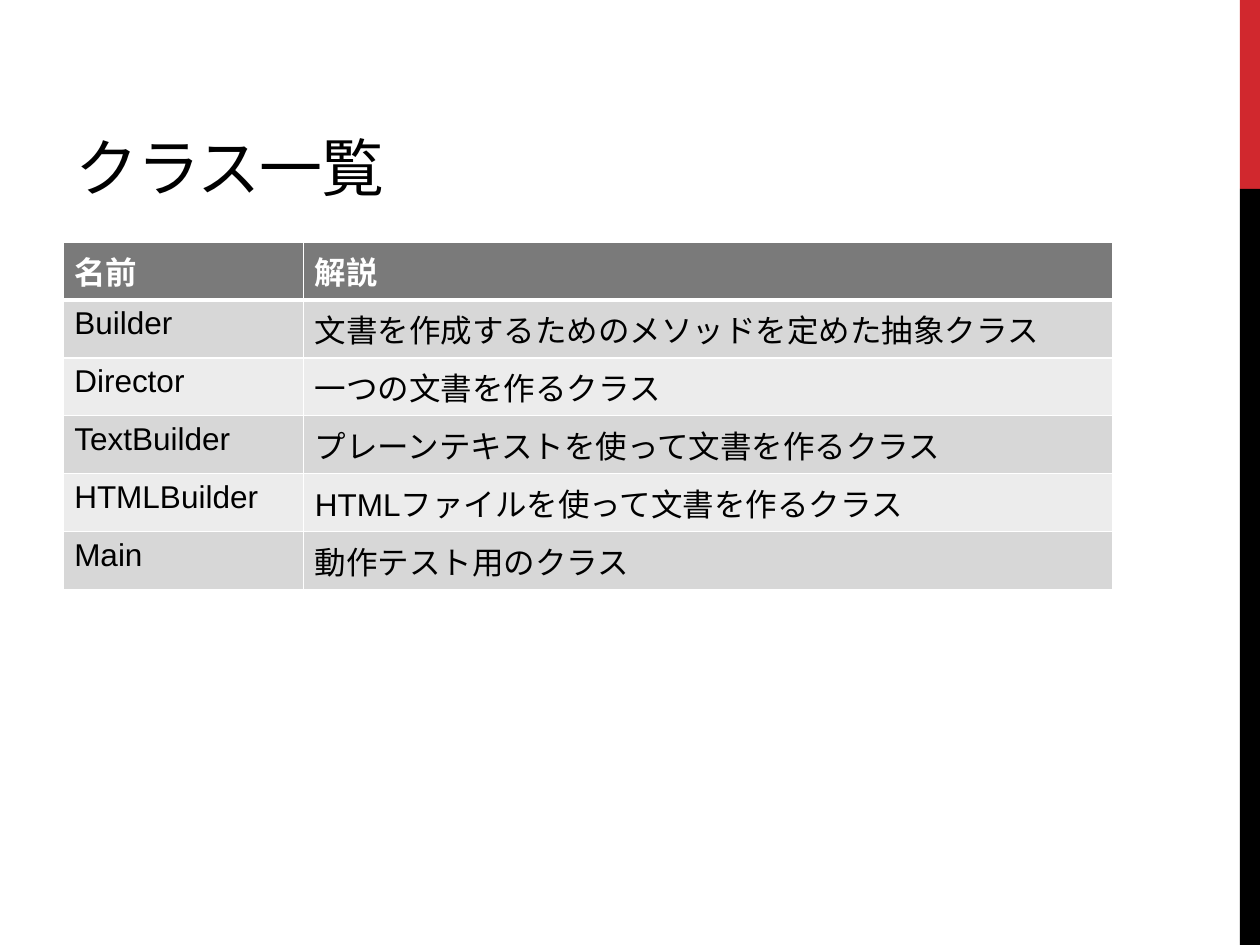
import pptx
import pptx.util
import pptx.dml.color
import pptx.enum.shapes
import pptx.enum.text
import pptx.oxml
import pptx.oxml.ns

COLORS = {
    "red": "D1282E", "black": "000000", "white": "FFFFFF",
    "header": "7A7A7A", "odd": "D7D7D7", "even": "ECECEC",
}
Inches = pptx.util.Inches


def rgb(name):
    return pptx.dml.color.RGBColor.from_string(COLORS[name])


def write(frame, text, font="Arial", size=18, color="black", bold=False, spacing=None):
    span = frame.paragraphs[0].add_run()
    span.text = text
    span.font.name = font
    span.font.size = pptx.util.Pt(size)
    span.font.bold = bold
    span.font.color.rgb = rgb(color)
    if spacing is not None:
        span.font._element.set("spc", str(round(spacing * 100)))


deck = pptx.Presentation()
deck.slide_width, deck.slide_height = Inches(10), Inches(7.5)
page = deck.slides.add_slide(deck.slide_layouts[6])

# Side band: the top fifth is red, the rest black
band_left = Inches(9.84)
band_width = deck.slide_width - band_left
fifth = deck.slide_height // 5
for color, top, height in (("red", 0, fifth), ("black", fifth, 4 * fifth)):
    band = page.shapes.add_shape(
        pptx.enum.shapes.MSO_SHAPE.RECTANGLE, band_left, top, band_width, height)
    band.shadow.inherit = False
    band.fill.solid()
    band.fill.fore_color.rgb = rgb(color)
    band.line.fill.background()

# Title
margin = deck.slide_width // 20
title = page.shapes.add_textbox(margin, Inches(0.17), Inches(6.33), fifth)
title.text_frame.word_wrap = True
title.text_frame.vertical_anchor = pptx.enum.text.MSO_ANCHOR.BOTTOM
write(title.text_frame, "クラス一覧", font="Montserrat", size=36, spacing=-0.6)

# Class table
rows = [
    ("名前", "解説"),
    ("Builder", "文書を作成するためのメソッドを定めた抽象クラス"),
    ("Director", "一つの文書を作るクラス"),
    ("TextBuilder", "プレーンテキストを使って文書を作るクラス"),
    ("HTMLBuilder", "HTMLファイルを使って文書を作るクラス"),
    ("Main", "動作テスト用のクラス"),
]
widths = [Inches(1.91), Inches(6.42)]
row_height = Inches(0.46)
table = page.shapes.add_table(
    len(rows), len(widths), margin, Inches(1.92),
    sum(widths), row_height * len(rows)).table
for column, width in zip(table.columns, widths):
    column.width = width

for i, texts in enumerate(rows):
    is_header = i == 0
    fill = "header" if is_header else ("odd" if i % 2 else "even")
    for j, text in enumerate(texts):
        cell = table.cell(i, j)
        cell.margin_left = cell.margin_right = Inches(0.09)
        cell.margin_top = cell.margin_bottom = Inches(0.05)
        cell.fill.solid()
        cell.fill.fore_color.rgb = rgb(fill)
        write(cell.text_frame, text, color="white" if is_header else "black",
              bold=is_header)

        # White borders, thicker between the header and the body
        properties = cell._tc.get_or_add_tcPr()
        points = {"L": 1, "R": 1, "T": 3 if i == 1 else 1, "B": 3 if is_header else 1}
        for place, (side, weight) in enumerate(points.items()):
            properties.insert(place, pptx.oxml.parse_xml(
                f'<a:ln{side} {pptx.oxml.ns.nsdecls("a")} w="{pptx.util.Pt(weight)}">'
                f'<a:solidFill><a:srgbClr val="{COLORS["white"]}"/></a:solidFill>'
                f'</a:ln{side}>'))

deck.save("out.pptx")
